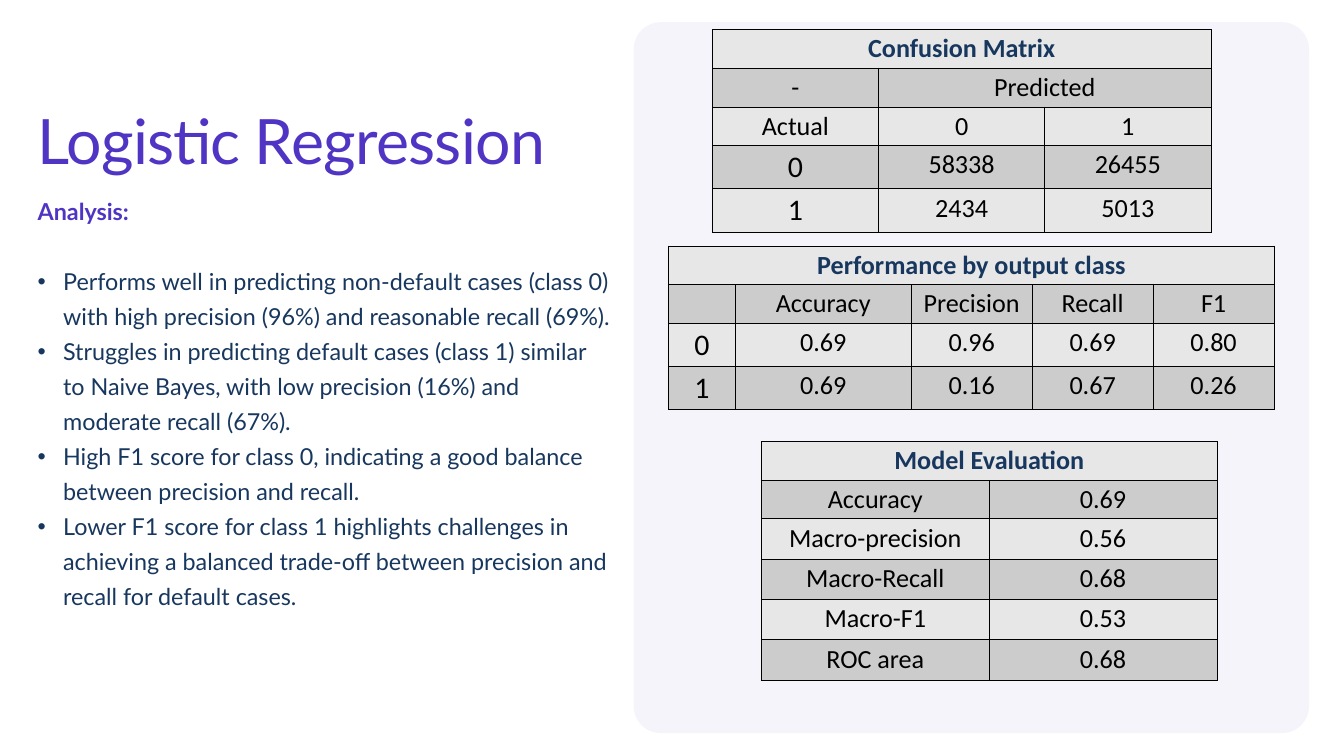
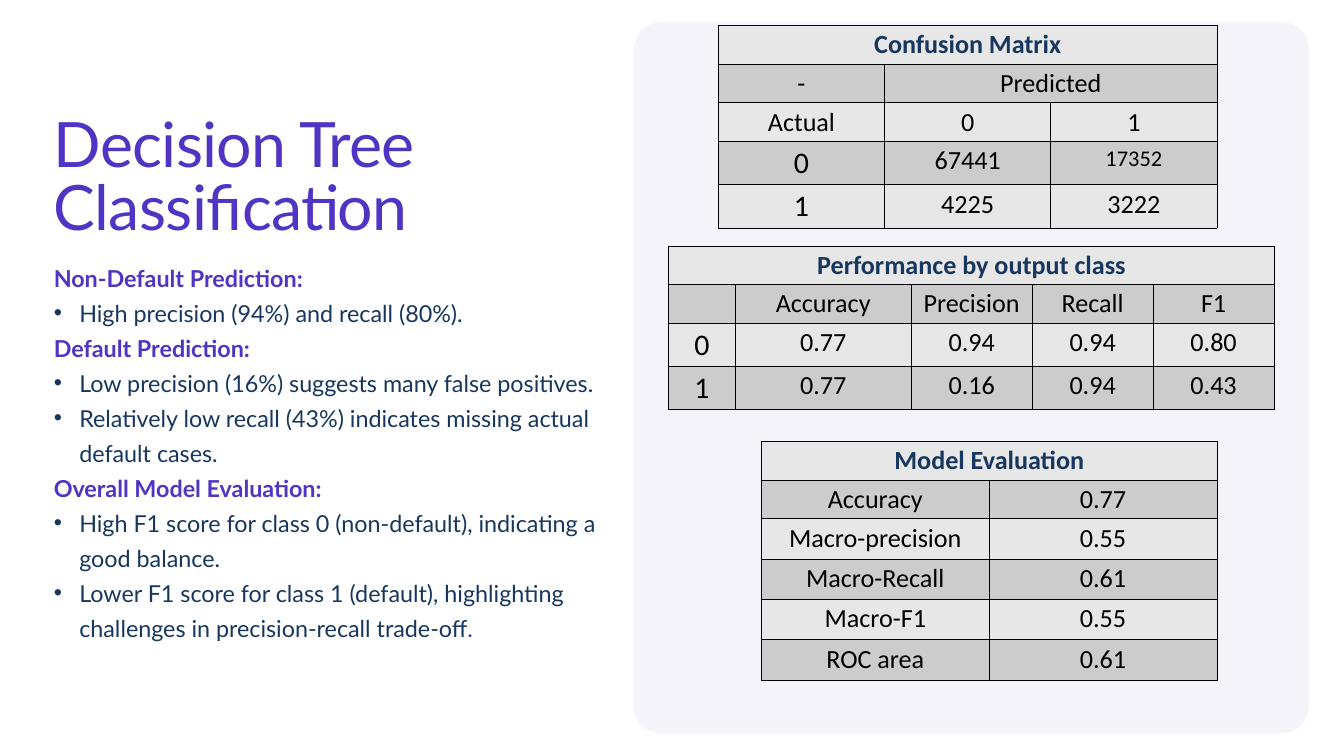
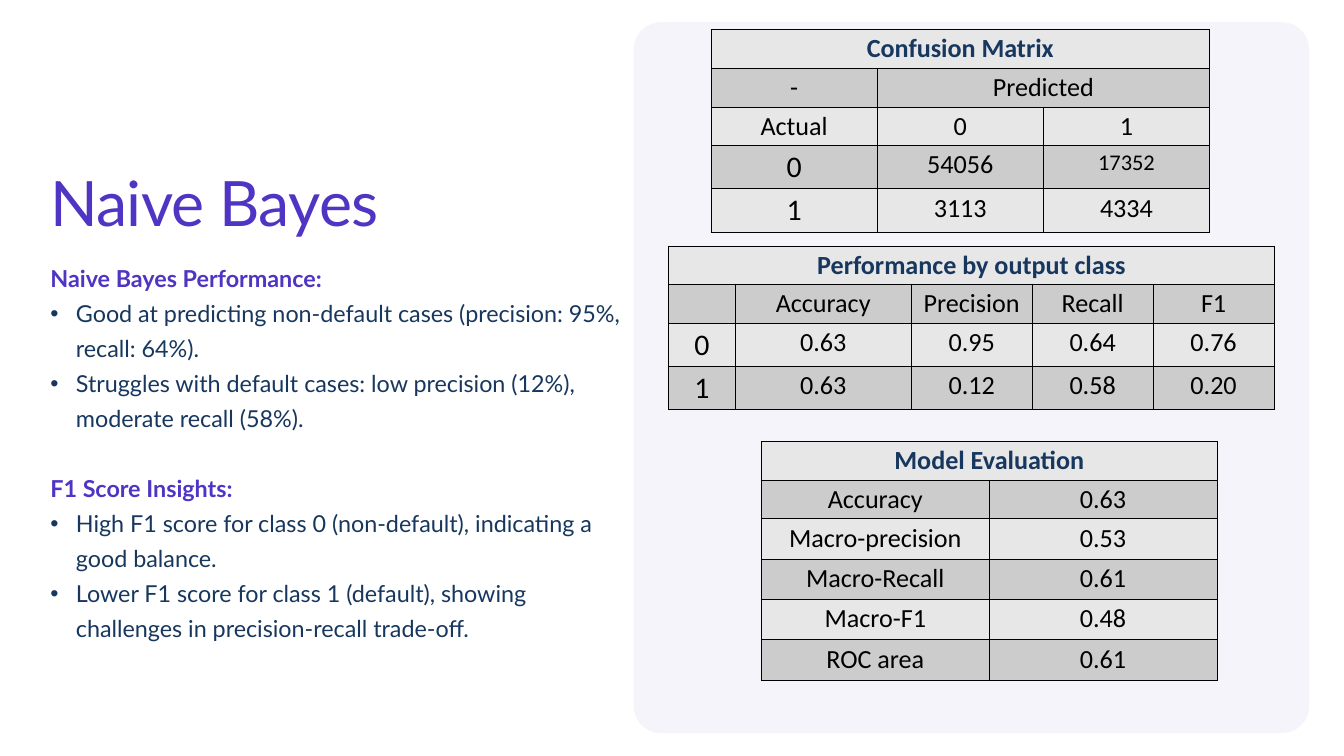
from dataclasses import dataclass

from lxml.etree import SubElement
from pptx import Presentation
from pptx.dml.color import RGBColor
from pptx.enum.shapes import MSO_SHAPE
from pptx.enum.text import MSO_ANCHOR, MSO_AUTO_SIZE, PP_ALIGN
from pptx.oxml.ns import qn
from pptx.util import Inches, Pt

SLIDE_WIDTH, SLIDE_HEIGHT = Inches(20), Inches(11.25)
GRID_COLUMNS = 20
CELL = SLIDE_WIDTH / GRID_COLUMNS  # square grid: 20 columns by 11.25 rows


@dataclass(frozen=True)
class Theme:
    accent: str = "5034C4"
    navy: str = "17375E"
    black: str = "000000"
    bands: tuple = ("E7E7E7", "CCCCCC")
    text_font: str = "Lato"
    table_font: str = "Calibri"
    title_size: float = 67
    body_size: float = 25
    body_leading: float = 37.5
    table_size: float = 28
    label_size: float = 32
    small_size: float = 24
    panel_opacity: int = 5
    bullet_indent: float = 0.38


@dataclass(frozen=True)
class Box:
    """A rectangle measured in grid cells."""
    left: float
    top: float
    width: float
    height: float

    def inside(self, left, top, width, height):
        return Box(self.left + left, self.top + top, width, height)

    def lengths(self):
        return [grid(value) for value in (self.left, self.top, self.width, self.height)]


@dataclass(frozen=True)
class Line:
    text: str
    heading: bool = False
    gap_before: bool = False
    accent_end: str = ""


@dataclass(frozen=True)
class Model:
    title: str
    text_box: Box
    title_size: tuple
    body_top: float
    lines: tuple
    confusion_offset: tuple
    confusion: tuple
    performance: tuple
    evaluation: tuple
    small_counts: tuple = ()


THEME = Theme()
PANEL = Box(9.43, 0.33, 10.05, 10.58)
HEADER_ROW, LABEL_ROW, METRIC_ROW = 0.57, 0.63, 0.6
METRICS = ("Accuracy", "Macro-precision", "Macro-Recall", "Macro-F1", "ROC area")

MODELS = (
    Model(
        title="Logistic Regression",
        text_box=Box(0.56, 1.7, 8.56, 7.85), title_size=(9.18, 0.97), body_top=1.13,
        lines=(
            Line("Analysis:", heading=True),
            Line("Performs well in predicting non-default cases (class 0) with high precision "
                 "(96%) and reasonable recall (69%).", gap_before=True),
            Line("Struggles in predicting default cases (class 1) similar to Naive Bayes, "
                 "with low precision (16%) and moderate recall (67%)."),
            Line("High F1 score for class 0, indicating a good balance between precision "
                 "and recall."),
            Line("Lower F1 score for class 1 highlights challenges in achieving a balanced "
                 "trade-off between precision and recall for default cases."),
        ),
        confusion_offset=(1.17, 0.11),
        confusion=(("58338", "26455"), ("2434", "5013")),
        performance=(("0.69", "0.96", "0.69", "0.80"), ("0.69", "0.16", "0.67", "0.26")),
        evaluation=("0.69", "0.56", "0.68", "0.53", "0.68"),
    ),
    Model(
        title="Decision Tree Classification",
        text_box=Box(0.8, 1.75, 8.68, 7.75), title_size=(6.92, 1.91), body_top=2.07,
        lines=(
            Line("Non-Default Prediction:", heading=True),
            Line("High precision (94%) and recall (80%)."),
            Line("Default Prediction:", heading=True),
            Line("Low precision (16%) suggests many false positives."),
            Line("Relatively low recall (43%) indicates missing actual default cases."),
            Line("Overall Model Evaluation:", heading=True),
            Line("High F1 score for class 0 (non-default), indicating a good balance."),
            Line("Lower F1 score for class 1 (default), highlighting challenges in "
                 "precision-recall trade-off", accent_end="."),
        ),
        confusion_offset=(1.26, 0.05),
        confusion=(("67441", "17352"), ("4225", "3222")),
        performance=(("0.77", "0.94", "0.94", "0.80"), ("0.77", "0.16", "0.94", "0.43")),
        evaluation=("0.77", "0.55", "0.61", "0.55", "0.61"),
        small_counts=((3, 2),),
    ),
    Model(
        title="Naive Bayes",
        text_box=Box(0.75, 2.62, 8.68, 6.89), title_size=(6.53, 0.97), body_top=1.21,
        lines=(
            Line("Naive Bayes Performance:", heading=True),
            Line("Good at predicting non-default cases (precision: 95%, recall: 64%)."),
            Line("Struggles with default cases: low precision (12%), moderate recall (58%)."),
            Line("F1 Score Insights:", heading=True, gap_before=True),
            Line("High F1 score for class 0 (non-default), indicating a good balance."),
            Line("Lower F1 score for class 1 (default), showing challenges in "
                 "precision-recall trade-off."),
        ),
        confusion_offset=(1.15, 0.11),
        confusion=(("54056", "17352"), ("3113", "4334")),
        performance=(("0.63", "0.95", "0.64", "0.76"), ("0.63", "0.12", "0.58", "0.20")),
        evaluation=("0.63", "0.53", "0.61", "0.48", "0.61"),
        small_counts=((3, 2),),
    ),
)


def grid(cells):
    return round(cells * CELL)


def write(paragraph, text, *, size, color, font=THEME.text_font, bold=False, spacing=None):
    """Add a formatted run; spacing is the tracking in points."""
    run = paragraph.add_run()
    run.text = text
    run.font.name, run.font.size, run.font.bold = font, Pt(size), bold
    run.font.color.rgb = RGBColor.from_string(color)
    if spacing is not None:
        run.font._element.set("spc", str(round(spacing * 100)))


def place_text(placeholder, box):
    """Move a placeholder to the box, without margins or automatic fitting."""
    placeholder.left, placeholder.top, placeholder.width, placeholder.height = box.lengths()
    frame = placeholder.text_frame
    frame.word_wrap, frame.auto_size = True, MSO_AUTO_SIZE.NONE
    frame.vertical_anchor = MSO_ANCHOR.TOP
    frame.margin_left = frame.margin_top = frame.margin_right = frame.margin_bottom = 0
    return frame


def space_lines(paragraph, leading, before=0):
    paragraph.alignment = PP_ALIGN.LEFT
    paragraph.line_spacing = Pt(leading)
    paragraph.space_before, paragraph.space_after = Pt(before), Pt(0)


def set_bullet(paragraph, bulleted):
    properties = paragraph._p.get_or_add_pPr()
    indent = grid(THEME.bullet_indent) if bulleted else 0
    properties.set("marL", str(indent))
    properties.set("indent", str(-indent))
    if bulleted:
        SubElement(properties, qn("a:buFont"), typeface="Arial")
        SubElement(properties, qn("a:buChar"), char="•")
    else:
        SubElement(properties, qn("a:buNone"))


def add_analysis(slide, model):
    box = model.text_box
    title = place_text(slide.shapes.title, box.inside(0, 0, *model.title_size)).paragraphs[0]
    space_lines(title, THEME.title_size)
    write(title, model.title, size=THEME.title_size, color=THEME.accent, spacing=-0.7)

    body_box = box.inside(0, model.body_top, box.width, box.height - model.body_top)
    frame = place_text(slide.placeholders[1], body_box)
    for index, line in enumerate(model.lines):
        paragraph = frame.add_paragraph() if index else frame.paragraphs[0]
        space_lines(paragraph, THEME.body_leading, THEME.body_leading if line.gap_before else 0)
        set_bullet(paragraph, not line.heading)
        write(paragraph, line.text, size=THEME.body_size, bold=line.heading,
              color=THEME.accent if line.heading else THEME.navy)
        if line.accent_end:
            write(paragraph, line.accent_end, size=THEME.body_size, color=THEME.accent)


def format_cell(cell, fill):
    properties = cell._tc.get_or_add_tcPr()
    for side in ("lnL", "lnR", "lnT", "lnB"):
        border = SubElement(properties, qn(f"a:{side}"), w=str(Pt(1)))
        border_fill = SubElement(border, qn("a:solidFill"))
        SubElement(border_fill, qn("a:srgbClr"), val=THEME.black)
    cell.fill.solid()
    cell.fill.fore_color.rgb = RGBColor.from_string(fill)


def add_banded_table(slide, box, rows, column_widths, row_heights, sizes=None, spans=()):
    """Draw a table whose first row is a heading across all columns.

    sizes maps (row, column) to a type size; spans lists (row, first, last) merges.
    """
    sizes = sizes or {}
    table = slide.shapes.add_table(len(rows), len(column_widths), *box.lengths()).table
    table.first_row = table.horz_banding = False
    for column, width in zip(table.columns, column_widths):
        column.width = grid(width)
    for row, height in zip(table.rows, row_heights):
        row.height = grid(height)
    for row_index, row in enumerate(rows):
        heading = row_index == 0
        for column_index in range(len(column_widths)):
            cell = table.cell(row_index, column_index)
            format_cell(cell, THEME.bands[row_index % 2])
            text = row[column_index] if column_index < len(row) else ""
            if text:
                paragraph = cell.text_frame.paragraphs[0]
                paragraph.alignment = PP_ALIGN.CENTER
                write(paragraph, text, font=THEME.table_font, bold=heading,
                      size=sizes.get((row_index, column_index), THEME.table_size),
                      color=THEME.navy if heading else THEME.black)
    for row_index, first, last in ((0, 0, len(column_widths) - 1), *spans):
        table.cell(row_index, first).merge(table.cell(row_index, last))


def add_panel(slide, box):
    panel = slide.shapes.add_shape(MSO_SHAPE.ROUNDED_RECTANGLE, *box.lengths())
    panel.adjustments[0] = 0.04
    panel.shadow.inherit = False
    panel.line.fill.background()
    panel.fill.solid()
    panel.fill.fore_color.rgb = RGBColor.from_string(THEME.accent)
    color = panel._element.spPr.find(qn("a:solidFill")).find(qn("a:srgbClr"))
    SubElement(color, qn("a:alpha"), val=str(THEME.panel_opacity * 1000))


def class_rows(values):
    return [(str(label), *row) for label, row in enumerate(values)]


def add_results(slide, box, model):
    add_panel(slide, box)
    add_banded_table(
        slide, box.inside(*model.confusion_offset, 7.42, 2.97),
        [("Confusion Matrix",), ("-", "Predicted"), ("Actual", "0", "1"),
         *class_rows(model.confusion)],
        column_widths=[7.42 / 3] * 3,
        row_heights=[HEADER_ROW] * 3 + [LABEL_ROW] * 2,
        sizes={(3, 0): THEME.label_size, (4, 0): THEME.label_size,
               **dict.fromkeys(model.small_counts, THEME.small_size)},
        spans=[(1, 1, 2)],
    )
    add_banded_table(
        slide, box.inside(0.52, 3.33, 9.02, 2.4),
        [("Performance by output class",), ("", "Accuracy", "Precision", "Recall", "F1"),
         *class_rows(model.performance)],
        column_widths=[0.99, 2.62] + [1.8] * 3,
        row_heights=[HEADER_ROW] * 2 + [LABEL_ROW] * 2,
        sizes={(2, 0): THEME.label_size, (3, 0): THEME.label_size},
    )
    add_banded_table(
        slide, box.inside(1.9, 6.24, 6.78, 3.54),
        [("Model Evaluation",), *zip(METRICS, model.evaluation)],
        column_widths=[6.78 / 2] * 2,
        row_heights=[HEADER_ROW] * 2 + [METRIC_ROW] * 4,
    )


def main():
    presentation = Presentation()
    presentation.slide_width, presentation.slide_height = SLIDE_WIDTH, SLIDE_HEIGHT
    title_and_content = presentation.slide_layouts[1]
    for model in MODELS:
        slide = presentation.slides.add_slide(title_and_content)
        add_results(slide, PANEL, model)
        add_analysis(slide, model)
    presentation.save("out.pptx")


if __name__ == "__main__":
    main()
